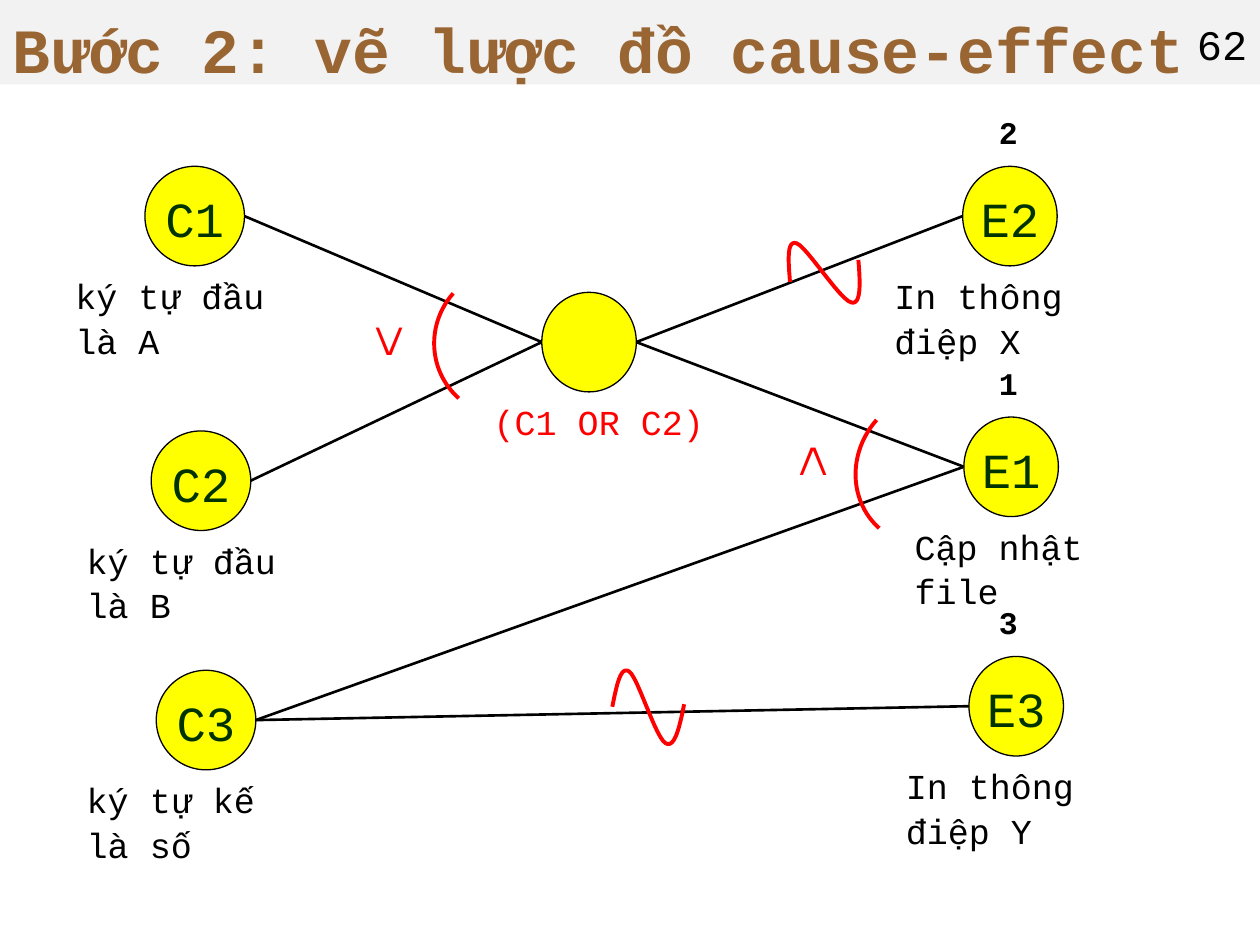
from dataclasses import dataclass

from lxml import etree
from pptx import Presentation
from pptx.dml.color import RGBColor
from pptx.enum.shapes import MSO_CONNECTOR, MSO_SHAPE
from pptx.enum.text import MSO_ANCHOR, PP_ALIGN
from pptx.oxml.ns import qn
from pptx.util import Inches, Pt

STRAIGHT = MSO_CONNECTOR.STRAIGHT
ARC, OVAL, RECTANGLE = MSO_SHAPE.ARC, MSO_SHAPE.OVAL, MSO_SHAPE.RECTANGLE
TOP, MIDDLE = MSO_ANCHOR.TOP, MSO_ANCHOR.MIDDLE
LEFT, CENTER = PP_ALIGN.LEFT, PP_ALIGN.CENTER


@dataclass(frozen=True)
class Theme:
    font: str = "Courier New"
    band: str = "F2F2F2"
    title: str = "996633"
    text: str = "000000"
    node: str = "FFFF00"
    node_text: str = "003300"
    accent: str = "FF0000"
    title_size: int = 36
    number_size: int = 24
    node_size: int = 28
    caption_size: int = 20
    rank_size: int = 18


THEME = Theme()

# Content; places are in columns and rows of a 100 x 75 grid
TITLE, SLIDE_NUMBER = "Bước 2: vẽ lược đồ cause-effect", "62"
NODE_HEIGHT = 7.9
# name: (left, top, width, label)
NODES = {
    "C1": (11.5, 13.2, 7.9, "C1"),
    "C2": (12, 34.2, 7.9, "C2"),
    "C3": (12.4, 53.2, 7.9, "C3"),
    "E2": (76.4, 13.2, 7.5, "E2"),
    "E3": (76.9, 52.1, 7.5, "E3"),
    "E1": (76.5, 33.1, 7.5, "E1"),
    "OR": (43, 23.2, 7.5, ""),
}
# name: (left, width, caption)
CAPTIONS = {
    "C1": (5, 21.4, "ký tự đầu là A"),
    "C2": (5.9, 21.4, "ký tự đầu là B"),
    "C3": (5.9, 19.3, "ký tự kế là số"),
    "E2": (70, 23.2, "In thông điệp X"),
    "E3": (70.9, 23.2, "In thông điệp Y"),
    "E1": (71.6, 19.8, "Cập nhật file"),
    "OR": (38.2, 18.7, "(C1 OR C2)"),
}
RANKS = {"E1": "1", "E2": "2", "E3": "3"}
EDGES = [("C1", "OR"), ("C2", "OR"), ("OR", "E1"), ("C3", "E1"), ("OR", "E2"), ("C3", "E3")]
# (symbol, symbol left, symbol top, arc left, arc top, arc height)
OPERATORS = [("∨", 28.4, 22.4, 34.5, 21.2, 11.9), ("∧", 62.1, 31.9, 68.1, 30.9, 12.6)]
# Negation waves: (centre column, centre row, rotation)
NEGATIONS = [(65.45, 21.6, -15.8), (51.45, 56.1, 0)]
# Cubic curves of a wave, relative to its centre
WAVE = [
    [(-2.85, 0), (-2.5, -1.7), (-2.2, -3.3), (-1.5, -2.8)],
    [(-1.5, -2.8), (-0.8, -2.3), (0.6, 2.5), (1.4, 2.9)],
    [(1.4, 2.9), (2.1, 3.3), (2.5, 1.6), (2.85, -0.2)],
]

presentation = Presentation()
presentation.slide_width, presentation.slide_height = Inches(10), Inches(7.5)
slide = presentation.slides.add_slide(presentation.slide_layouts[6])
shapes = slide.shapes


def grid(*values):
    return [round(value * presentation.slide_width / 100) for value in values]


def write(shape, text, size, color=THEME.text, bold=False, align=LEFT,
          anchor=TOP, wrap=False, margins=(1, 0.5)):
    frame = shape.text_frame
    frame.word_wrap, frame.vertical_anchor = wrap, anchor
    frame.margin_left = frame.margin_right = grid(margins[0])[0]
    frame.margin_top = frame.margin_bottom = grid(margins[1])[0]
    paragraph = frame.paragraphs[0]
    paragraph.alignment = align
    paragraph.line_spacing, paragraph.space_before = 1.06, Pt(round(size * 0.13, 1))
    run = paragraph.add_run()
    run.text = text
    run.font.name, run.font.size, run.font.bold = THEME.font, Pt(size), bold
    run.font.color.rgb = RGBColor.from_string(color)


def add_label(left, top, width, height, text, size, **style):
    write(shapes.add_textbox(*grid(left, top, width, height)), text, size, **style)


def paint(shape, fill=None, line=None, width=0.75):
    shape.shadow.inherit = False
    if fill:
        shape.fill.solid()
        shape.fill.fore_color.rgb = RGBColor.from_string(fill)
    else:
        shape.fill.background()
    if line:
        shape.line.color.rgb = RGBColor.from_string(line)
        shape.line.width = Pt(width)
    else:
        shape.line.fill.background()


def add_edge(source, target):
    left, top, width, _ = NODES[source]
    end_left, end_top, _, _ = NODES[target]
    half = NODE_HEIGHT / 2
    edge = shapes.add_connector(
        STRAIGHT, *grid(left + width, top + half, end_left, end_top + half))
    edge.line.color.rgb = RGBColor.from_string(THEME.text)
    edge.line.width = Pt(1.5)
    etree.SubElement(edge._element.spPr, qn("a:effectLst"))


def curve_points(curve, steps=12):
    for step in range(steps + 1):
        t = step / steps
        weights = ((1 - t) ** 3, 3 * t * (1 - t) ** 2, 3 * t * t * (1 - t), t ** 3)
        yield tuple(sum(w * point[axis] for w, point in zip(weights, curve)) for axis in (0, 1))


def add_wave(column, row, rotation):
    points = [grid(column + x, row + y) for curve in WAVE for x, y in curve_points(curve)]
    builder = shapes.build_freeform(*points[0])
    builder.add_line_segments(points[1:], close=False)
    wave = builder.convert_to_shape()
    wave.rotation = rotation
    paint(wave, line=THEME.accent, width=2.25)


# Header band: title and slide number
header = shapes.add_shape(RECTANGLE, *grid(0, 0, 95, 6.7))
paint(header, THEME.band)
write(header, TITLE, THEME.title_size, color=THEME.title, bold=True, align=CENTER)
number = shapes.add_shape(RECTANGLE, *grid(95, 0, 5, 6.7))
paint(number, THEME.band)
write(number, SLIDE_NUMBER, THEME.number_size, anchor=MIDDLE, margins=(0, 0.5))

# Edges with their operators and negations
for source, target in EDGES:
    add_edge(source, target)
for symbol, left, top, arc_left, arc_top, arc_height in OPERATORS:
    add_label(left, top, 7.5, 8.5, symbol, THEME.title_size, color=THEME.accent)
    arc = shapes.add_shape(ARC, *grid(arc_left, arc_top, 11.7, arc_height))
    arc.rotation = 221.5
    paint(arc, line=THEME.accent, width=2.25)
for negation in NEGATIONS:
    add_wave(*negation)

# Nodes with captions below and ranks above
for name, (left, top, width, label) in NODES.items():
    node = shapes.add_shape(OVAL, *grid(left, top, width, NODE_HEIGHT))
    paint(node, THEME.node, THEME.text)
    if label:
        write(node, label, THEME.node_size, color=THEME.node_text, align=CENTER,
              anchor=MIDDLE, margins=(0, 0))
    caption_left, caption_width, caption = CAPTIONS[name]
    add_label(caption_left, top + NODE_HEIGHT, caption_width, 5.2, caption, THEME.caption_size,
              color=THEME.text if label else THEME.accent, wrap=bool(label))
    if name in RANKS:
        add_label(78.3, top - 4.9, 3.8, 4.8, RANKS[name], THEME.rank_size, bold=True)

presentation.save("out.pptx")
